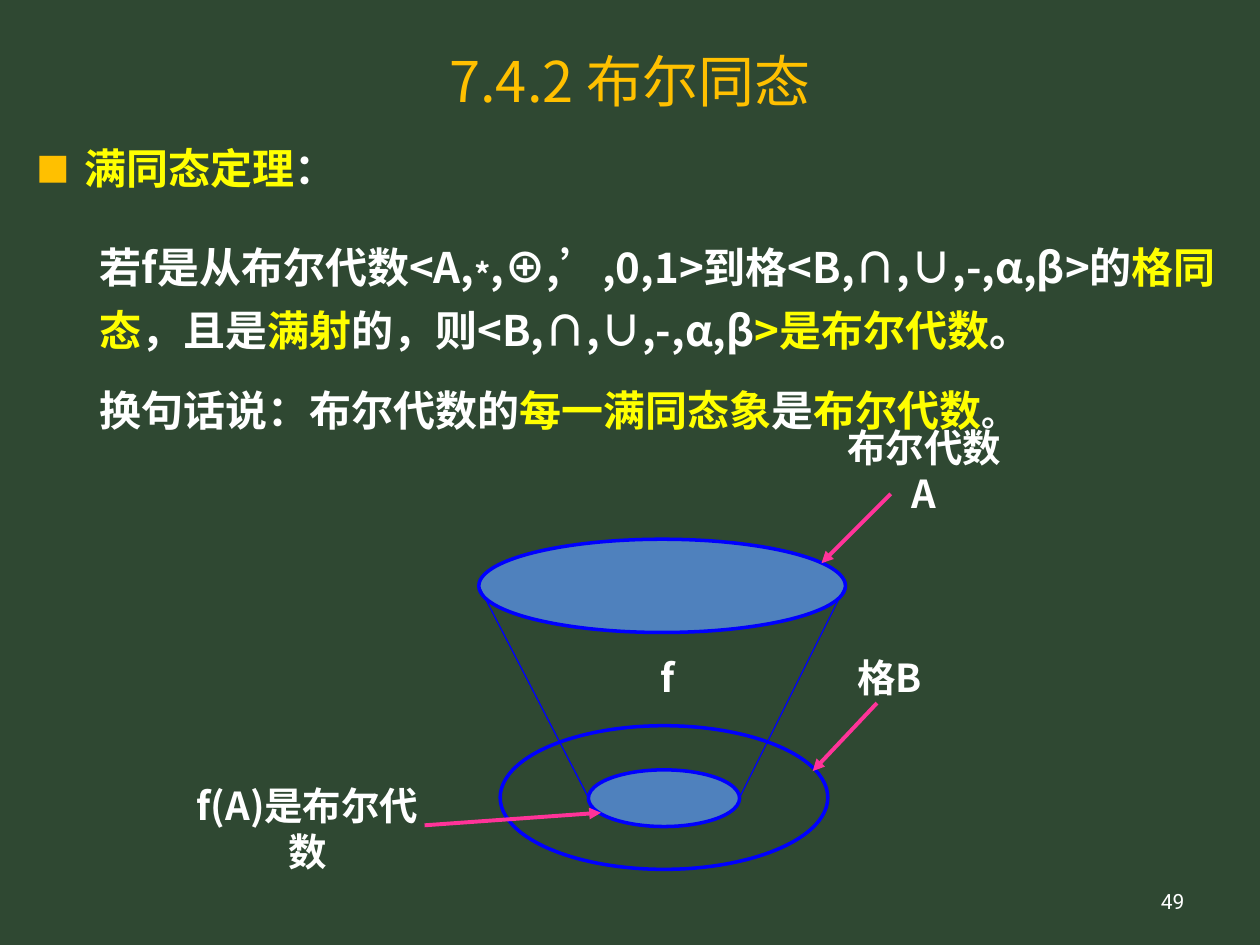
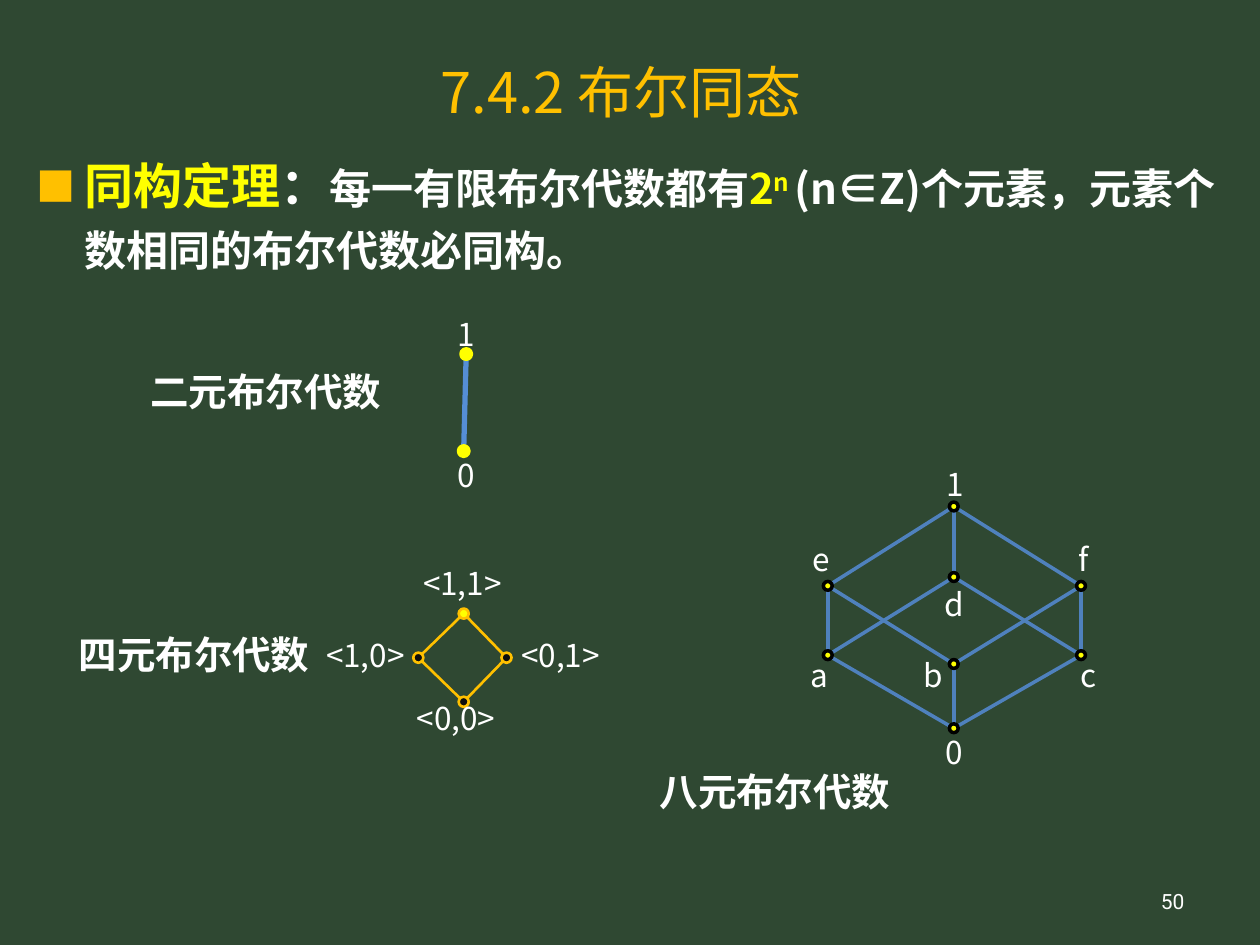
from lxml import etree
from pptx import Presentation, util as u
from pptx.dml.color import RGBColor
from pptx.enum import shapes as kinds, text as t
from pptx.oxml import ns

COLORS = {
    "board": "2F4832", "gold": "FFC000", "yellow": "FFFF00", "white": "FFFFFF",
    "outline": "0000FF", "steel": "4F81BD", "sky": "558ED5", "pink": "FF3399",
    "dark": "0D0D0D", "black": "000000",
}
CJK_FONT, NUMBER_FONT = "Noto Sans CJK SC", "Roboto"
COLUMNS, ROWS = 10, 7.5  # one grid unit is one inch
TITLE = "7.4.2 布尔同态"
TITLE_SIZE = (8.52, 0.73)
BODY_SIZE = (9.62, 5.32)


def grid(*lengths):
    return [u.Inches(length) for length in lengths]


def rgb(name):
    return RGBColor.from_string(COLORS[name])


def add_xml(parent, tag, **attributes):
    return etree.SubElement(parent, ns.qn(tag), attributes)


def set_font(paragraph, size, color="white", bold=False, name=CJK_FONT):
    font = paragraph.font
    font.size, font.bold, font.name = u.Pt(size), bold, name
    font.color.rgb = rgb(color)
    add_xml(font._element, "a:ea", typeface=name)


def place(shape, left, top, width, height):
    shape.left, shape.top, shape.width, shape.height = grid(left, top, width, height)


def add_label(shapes, text, box, size=22, bold=True, align=t.PP_ALIGN.CENTER,
              anchor=t.MSO_ANCHOR.MIDDLE, name=CJK_FONT):
    frame = shapes.add_textbox(*grid(*box)).text_frame
    frame.word_wrap = True
    frame.vertical_anchor = anchor
    paragraph = frame.paragraphs[0]
    paragraph.text = text
    paragraph.alignment = align
    set_font(paragraph, size, bold=bold, name=name)


def add_ellipse(shapes, box, fill, line, width):
    ellipse = shapes.add_shape(kinds.MSO_SHAPE.OVAL, *grid(*box))
    ellipse.shadow.inherit = False
    if fill:
        ellipse.fill.solid()
        ellipse.fill.fore_color.rgb = rgb(fill)
    else:
        ellipse.fill.background()
    ellipse.line.color.rgb = rgb(line)
    ellipse.line.width = u.Pt(width)


def add_line(shapes, start, end, color, width, arrow=False):
    line = shapes.add_connector(kinds.MSO_CONNECTOR.STRAIGHT, *grid(*start, *end))
    line.line.color.rgb = rgb(color)
    line.line.width = u.Pt(width)
    if arrow:
        add_xml(line.line._get_or_add_ln(), "a:tailEnd", type="triangle")
    add_xml(line._element.spPr, "a:effectLst")


def add_slide(presentation, number, title_at, body_at):
    """Add a titled, numbered slide; return it with its empty body frame."""
    slide = presentation.slides.add_slide(presentation.slide_layouts[1])
    title, body = slide.placeholders
    place(title, *title_at, *TITLE_SIZE)
    place(body, *body_at, *BODY_SIZE)
    for frame in (title.text_frame, body.text_frame):
        frame.auto_size = t.MSO_AUTO_SIZE.NONE
    title.text_frame.vertical_anchor = t.MSO_ANCHOR.MIDDLE
    heading = title.text_frame.paragraphs[0]
    heading.text = TITLE
    heading.alignment = t.PP_ALIGN.CENTER
    set_font(heading, 32, "gold")
    add_label(slide.shapes, str(number), (7.17, 6.95, 2.33, 0.4), 12, False,
              t.PP_ALIGN.RIGHT, name=NUMBER_FONT)
    return slide, body.text_frame


def fill_paragraph(paragraph, runs, bullet=False, before=0):
    """Write runs of (text, color, size, baseline); the last three are optional."""
    paragraph.level = 0 if bullet else 1
    paragraph.line_spacing = 1.2
    paragraph.space_before, paragraph.space_after = u.Pt(before), u.Pt(6)
    properties = paragraph._p.get_or_add_pPr()
    margin, indent = grid(0.38, -0.38) if bullet else grid(0.5, 0)
    properties.set("marL", str(margin))
    properties.set("indent", str(indent))
    if bullet:
        color = add_xml(properties, "a:buClr")
        add_xml(color, "a:srgbClr", val=COLORS["gold"])
        add_xml(properties, "a:buSzPct", val="80000")
        add_xml(properties, "a:buFont", typeface=CJK_FONT)
        add_xml(properties, "a:buChar", char="■")
    else:
        add_xml(properties, "a:buNone")
    set_font(paragraph, 24, bold=True)
    for text, color, size, baseline in (run + (None,) * (4 - len(run)) for run in runs):
        run = paragraph.add_run()
        run.text = text
        if color:
            run.font.color.rgb = rgb(color)
        if size:
            run.font.size = u.Pt(size)
        if baseline:
            run.font._element.set("baseline", str(baseline * 1000))


def add_hasse(slide, nodes, edges, line, dot, fills=None):
    """Draw a diagram of nodes {label: (x, y, label centre, label top)}.

    line is (color, width); dot is (diameter, fill, line color, line width).
    """
    shapes = slide.shapes.add_group_shape().shapes
    diameter, fill, outline, width = dot
    for start, end in edges:
        add_line(shapes, nodes[start][:2], nodes[end][:2], *line)
    for label, (x, y, label_x, label_top) in nodes.items():
        box = (x - diameter / 2, y - diameter / 2, diameter, diameter)
        add_ellipse(shapes, box, (fills or {}).get(label, fill), outline, width)
        add_label(shapes, label, (label_x - 0.5, label_top, 1, 0.4), 18, False,
                  anchor=t.MSO_ANCHOR.TOP)


def add_homomorphism_slide(presentation):
    slide, body = add_slide(presentation, 49, (0.74, 0.27), (0.19, 1))
    fill_paragraph(body.paragraphs[0], [("满同态定理", "yellow"), ("：",)], bullet=True)
    fill_paragraph(body.add_paragraph(), [
        ("若f是从布尔代数<A,",), ("*", None, 32, -8),
        (",⊕,’,0,1>到格<B,∩,∪,-,α,β>的",), ("格同态", "yellow"), ("，且是",),
        ("满射", "yellow"), ("的，则<B,∩,∪,-,α,β",), (">是布尔代数", "yellow"), ("。",),
    ], before=6)
    fill_paragraph(body.add_paragraph(), [
        ("换句话说：布尔代数的",), ("每一满同态象", "yellow"), ("是",),
        ("布尔代数", "yellow"), ("。", None, 20),
    ], before=5)

    shapes = slide.shapes.add_group_shape().shapes
    for box, fill in (((3.8, 4.28, 2.91, 0.74), "steel"),
                      ((3.97, 5.76, 2.6, 1.14), None),
                      ((4.67, 6.11, 1.2, 0.45), "steel")):
        add_ellipse(shapes, box, fill, "outline", 2)
    for domain_x, image_x in ((3.8, 4.67), (6.71, 5.87)):
        add_line(shapes, (domain_x, 4.65), (image_x, 6.33), "outline", 0.75)
    for text, box in (("f(A)是布尔代数", (1.43, 6.4, 2.02, 0.35)),
                      ("布尔代数A", (6.57, 3.55, 1.53, 0.36)),
                      ("格B", (6.46, 5.2, 1.2, 0.34)),
                      ("f", (4.87, 5.22, 0.85, 0.3))):
        add_label(shapes, text, box)
    for start, end in (((7.07, 3.92), (6.52, 4.47)),
                       ((3.37, 6.55), (4.77, 6.45)),
                       ((6.96, 5.58), (6.45, 6.12))):
        add_line(shapes, start, end, "pink", 2.25, arrow=True)


def add_isomorphism_slide(presentation):
    slide, body = add_slide(presentation, 50, (0.67, 0.36), (0.19, 1.09))
    fill_paragraph(body.paragraphs[0], [
        ("同构定理", "yellow", 28), ("：", None, 28), ("每一有限布尔代数都有",),
        ("2", "yellow"), ("n ", "yellow", None, 30),
        ("(n∈Z)个元素，元素个数相同的布尔代数必同构。",),
    ], bullet=True)

    chain = {"1": (3.7, 2.81, 3.7, 2.45), "0": (3.68, 3.58, 3.7, 3.57)}
    add_hasse(slide, chain, ["10"], ("sky", 3), (0.08, "yellow", "yellow", 2.25))

    top, left, right, bottom = "<1,1>", "<1,0>", "<0,1>", "<0,0>"
    diamond = {
        top: (3.68, 4.87, 3.67, 4.43), left: (3.32, 5.22, 2.9, 5),
        right: (4.02, 5.22, 4.45, 5), bottom: (3.68, 5.57, 3.62, 5.5),
    }
    sides = [(end, side) for end in (top, bottom) for side in (left, right)]
    add_hasse(slide, diamond, sides, ("gold", 1.5), (0.08, "dark", "gold", 1.5),
              {top: "yellow"})

    west, middle, east = 6.57, 7.57, 8.58
    cube = {
        "1": (middle, 4.02, 7.58, 3.64), "e": (west, 4.65, 6.52, 4.24),
        "d": (middle, 4.58, 7.57, 4.59), "f": (east, 4.65, 8.6, 4.24),
        "a": (west, 5.2, 6.5, 5.16), "b": (middle, 5.27, 7.41, 5.16),
        "c": (east, 5.2, 8.64, 5.16), "0": (middle, 5.78, 7.57, 5.77),
    }
    cube_edges = "1e 1d 1f ea eb da dc fb fc a0 b0 c0".split()
    add_hasse(slide, cube, cube_edges, ("steel", 2), (0.07, "yellow", "black", 2))

    for text, left, top in (("二元布尔代数", 0.95, 2.93), ("四元布尔代数", 0.38, 5.02),
                            ("八元布尔代数", 4.99, 6.1)):
        add_label(slide.shapes, text, (left, top, 2.32, 0.35))


def main():
    presentation = Presentation()
    presentation.slide_width, presentation.slide_height = grid(COLUMNS, ROWS)
    background = presentation.slide_master.background.fill
    background.solid()
    background.fore_color.rgb = rgb("board")
    add_homomorphism_slide(presentation)
    add_isomorphism_slide(presentation)
    presentation.save("out.pptx")


if __name__ == "__main__":
    main()
